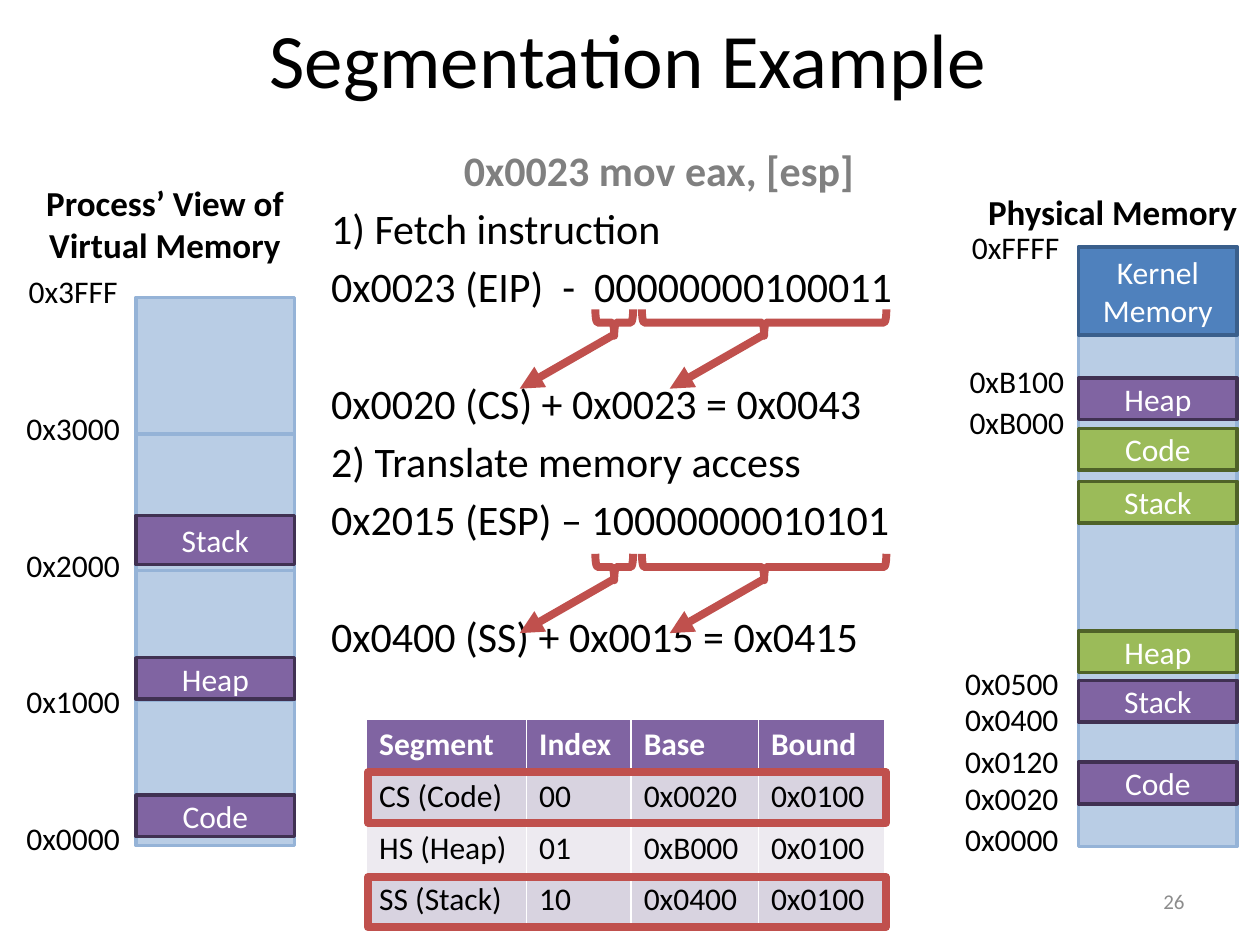
from typing import NamedTuple, Optional

from lxml.etree import SubElement
from pptx import Presentation
from pptx.dml.color import RGBColor
from pptx.enum.shapes import MSO_CONNECTOR, MSO_SHAPE
from pptx.enum.text import MSO_ANCHOR as Anchor, PP_ALIGN as Align
from pptx.oxml.ns import qn
from pptx.util import Inches, Length, Pt

"""Build the segmentation example slide on a grid of 100 columns and 75 rows."""

FONT = "Calibri"
BLACK = RGBColor(0x00, 0x00, 0x00)
WHITE = RGBColor(0xFF, 0xFF, 0xFF)
GRAY = RGBColor(0x80, 0x80, 0x80)
NUMBER_GRAY = RGBColor(0x8C, 0x8C, 0x8C)
FREE = RGBColor(0xB9, 0xCD, 0xE5)
FREE_EDGE = RGBColor(0x95, 0xB3, 0xD7)
KERNEL = RGBColor(0x4F, 0x81, 0xBD)
KERNEL_EDGE = RGBColor(0x3A, 0x5F, 0x8C)
PURPLE = RGBColor(0x80, 0x64, 0xA2)
PURPLE_EDGE = RGBColor(0x40, 0x31, 0x52)
GREEN = RGBColor(0x9B, 0xBB, 0x59)
GREEN_EDGE = RGBColor(0x4F, 0x62, 0x28)
RED = RGBColor(0xC0, 0x50, 0x4D)
BAND_DARK = RGBColor(0xD8, 0xD3, 0xE0)
BAND_LIGHT = RGBColor(0xED, 0xEA, 0xF0)

VIRTUAL_COL, PHYSICAL_COL, MEMORY_COLS = 10.8, 85.6, 12.6
PAGE_ROWS = 10.85
LINE_GAP, LINE_PITCH = 4.3, 33.7


class Block(NamedTuple):
    col: float
    row: float
    rows: float
    fill: RGBColor
    edge: RGBColor
    name: str = ""


class Address(NamedTuple):
    center: float
    middle: float
    text: str


class Step(NamedTuple):
    text: str
    skipped_lines: int = 0


BLOCKS = [
    *(Block(VIRTUAL_COL, 23.6 + page * PAGE_ROWS, PAGE_ROWS, FREE, FREE_EDGE) for page in range(3)),
    Block(VIRTUAL_COL, 55.6, 11.5, FREE, FREE_EDGE),
    Block(VIRTUAL_COL, 40.9, 3.9, PURPLE, PURPLE_EDGE, "Stack"),
    Block(VIRTUAL_COL, 52.2, 3.3, PURPLE, PURPLE_EDGE, "Heap"),
    Block(VIRTUAL_COL, 63.1, 3.3, PURPLE, PURPLE_EDGE, "Code"),
    Block(PHYSICAL_COL, 19.6, 47.6, FREE, FREE_EDGE),
    Block(PHYSICAL_COL, 19.6, 7, KERNEL, KERNEL_EDGE, "Kernel Memory"),
    Block(PHYSICAL_COL, 30, 3.3, PURPLE, PURPLE_EDGE, "Heap"),
    Block(PHYSICAL_COL, 34, 3.3, GREEN, GREEN_EDGE, "Code"),
    Block(PHYSICAL_COL, 38.2, 3.3, GREEN, GREEN_EDGE, "Stack"),
    Block(PHYSICAL_COL, 50.1, 3.3, GREEN, GREEN_EDGE, "Heap"),
    Block(PHYSICAL_COL, 54, 3.3, PURPLE, PURPLE_EDGE, "Stack"),
    Block(PHYSICAL_COL, 60.5, 3.3, PURPLE, PURPLE_EDGE, "Code"),
]
VIRTUAL_ADDRESSES = ["0x3FFF", "0x3000", "0x2000", "0x1000", "0x0000"]
ADDRESSES = [
    *(Address(5.8, 23.1 + i * PAGE_ROWS, text) for i, text in enumerate(VIRTUAL_ADDRESSES)),
    Address(80.6, 19.6, "0xFFFF"),
    Address(80.7, 30.2, "0xB100"),
    Address(80.7, 33.5, "0xB000"),
    Address(80.3, 54.2, "0x0500"),
    Address(80.3, 57.1, "0x0400"),
    Address(80.3, 60.4, "0x0120"),
    Address(80.3, 63.3, "0x0020"),
    Address(80.3, 66.6, "0x0000"),
]
STEPS = [
    Step("0x0023 mov eax, [esp]"),
    Step("1) Fetch instruction"),
    Step("0x0023 (EIP)  -  00000000100011"),
    Step("0x0020 (CS) + 0x0023 = 0x0043", 1),
    Step("2) Translate memory access"),
    Step("0x2015 (ESP) – 10000000010101"),
    Step("0x0400 (SS) + 0x0015 = 0x0415", 1),
]
SEGMENTS = [
    ["Segment", "Index", "Base", "Bound"],
    ["CS (Code)", "00", "0x0020", "0x0100"],
    ["HS (Heap)", "01", "0xB000", "0x0100"],
    ["SS (Stack)", "10", "0x0400", "0x0100"],
]
SEGMENT_COLS = [12.7, 8.3, 10.1, 10]
ROW_FILLS = [PURPLE, BAND_DARK, BAND_LIGHT, BAND_DARK]


def cells(count: float) -> Length:
    return Inches(round(count / 10, 3))


def box(col: float, row: float, cols: float, rows: float) -> list[Length]:
    return [cells(side) for side in (col, row, cols, rows)]


def style(paragraph, size: float, color: RGBColor, bold: bool = False, align=Align.LEFT) -> None:
    paragraph.alignment = align
    for run in paragraph.runs:
        font = run.font
        font.name, font.size, font.bold = FONT, Pt(size), bold
        font.color.rgb = color


def draw_shape(slide, kind, place: list[Length], fill: Optional[RGBColor], edge: RGBColor, width: float):
    shape = slide.shapes.add_shape(kind, *place)
    shape.shadow.inherit = False
    if fill is None:
        shape.fill.background()
    else:
        shape.fill.solid()
        shape.fill.fore_color.rgb = fill
    shape.line.color.rgb = edge
    shape.line.width = Pt(width)
    return shape


def draw_block(slide, block: Block) -> None:
    place = box(block.col, block.row, MEMORY_COLS, block.rows)
    shape = draw_shape(slide, MSO_SHAPE.RECTANGLE, place, block.fill, block.edge, 2)
    if block.name:
        shape.text_frame.text = block.name
        shape.text_frame.vertical_anchor = Anchor.MIDDLE
        style(shape.text_frame.paragraphs[0], 18, WHITE, align=Align.CENTER)


def draw_label(slide, place: list[Length], text: str, size: float, color: RGBColor = BLACK,
               bold: bool = False, align=Align.CENTER) -> None:
    frame = slide.shapes.add_textbox(*place).text_frame
    frame.word_wrap = False
    frame.vertical_anchor = Anchor.MIDDLE
    frame.text = text
    for paragraph in frame.paragraphs:
        style(paragraph, size, color, bold, align)


def draw_steps(slide) -> None:
    frame = slide.shapes.add_textbox(*box(25.3, 11, 54, 52.8)).text_frame
    frame.word_wrap = True
    frame.text = "\n".join(step.text for step in STEPS)
    for paragraph, step in zip(frame.paragraphs, STEPS):
        paragraph.space_before = Pt(LINE_GAP + step.skipped_lines * LINE_PITCH)
        style(paragraph, 24, BLACK)
    style(frame.paragraphs[0], 24, GRAY, True, Align.CENTER)


def draw_split(slide, center: float, middle: float, span: float) -> None:
    place = box(center - 1.05, middle - span / 2, 2.1, span)
    draw_shape(slide, MSO_SHAPE.LEFT_BRACE, place, None, RED, 4.5).rotation = 270
    start = middle + 0.95
    ends = box(center, start, center - 7.5, start + 4.3)
    arrow = slide.shapes.add_connector(MSO_CONNECTOR.STRAIGHT, *ends)
    arrow.line.color.rgb = RED
    arrow.line.width = Pt(4.5)
    SubElement(arrow.line._get_or_add_ln(), qn("a:tailEnd"), type="triangle")
    SubElement(arrow._element.spPr, qn("a:effectLst"))


def draw_segments(slide) -> None:
    place = box(29.1, 57.1, sum(SEGMENT_COLS), 16.4)
    table = slide.shapes.add_table(len(SEGMENTS), len(SEGMENT_COLS), *place).table
    for column, cols in zip(table.columns, SEGMENT_COLS):
        column.width = cells(cols)
    for row, texts, fill in zip(table.rows, SEGMENTS, ROW_FILLS):
        header = texts is SEGMENTS[0]
        for cell, text in zip(row.cells, texts):
            cell.text_frame.text = text
            cell.fill.solid()
            cell.fill.fore_color.rgb = fill
            style(cell.text_frame.paragraphs[0], 18, WHITE if header else BLACK, header)
    for top in (61.3, 69.6):
        draw_shape(slide, MSO_SHAPE.RECTANGLE, box(29.2, top, 41.1, 4), None, RED, 4.5)


def main() -> None:
    deck = Presentation()
    deck.slide_width, deck.slide_height = cells(100), cells(75)
    slide = deck.slides.add_slide(deck.slide_layouts[5])
    title = slide.shapes.title
    title.left, title.top, title.width, title.height = box(0.5, 0, 98.7, 9.2)
    title.text_frame.text = "Segmentation Example"
    title.text_frame.vertical_anchor = Anchor.MIDDLE
    style(title.text_frame.paragraphs[0], 44, BLACK, align=Align.CENTER)
    for block in BLOCKS:
        draw_block(slide, block)
    for address in ADDRESSES:
        draw_label(slide, box(address.center - 4.75, address.middle - 2, 9.5, 4), address.text, 18)
    draw_label(slide, box(2.6, 13.9, 21, 7.7), "Process’ View of\nVirtual Memory", 20, bold=True)
    draw_label(slide, box(77.3, 14.6, 22, 4.4), "Physical Memory", 20, bold=True)
    draw_label(slide, box(71.7, 69.5, 23.3, 4), "26", 12, NUMBER_GRAY, align=Align.RIGHT)
    draw_segments(slide)
    draw_steps(slide)
    for middle in (25.6, 45):
        draw_split(slide, 48.75, middle, 3)
        draw_split(slide, 60.65, middle, 19.4)
    deck.save("out.pptx")


if __name__ == "__main__":
    main()
